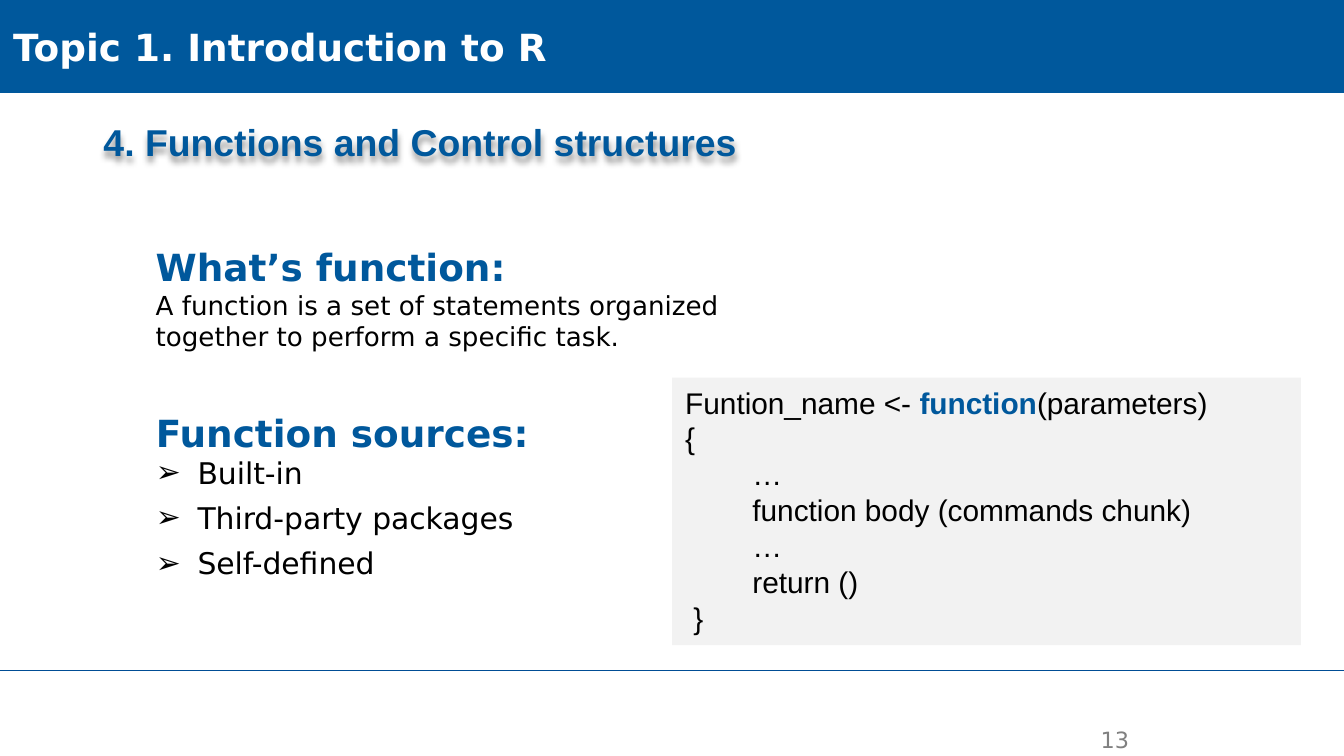
from pptx import Presentation
from pptx.dml.color import RGBColor
from pptx.enum.shapes import MSO_CONNECTOR as Connector, MSO_SHAPE as Shape
from pptx.enum.text import MSO_ANCHOR as Anchor, MSO_AUTO_SIZE as AutoSize, PP_ALIGN as Align
from pptx.oxml import parse_xml
from pptx.oxml.ns import nsdecls
from pptx.oxml.xmlchemy import OxmlElement
from pptx.util import Inches, Pt

BLUE = RGBColor(0x00, 0x58, 0x9C)
RULE_BLUE = RGBColor(0x00, 0x4D, 0x95)
WHITE = RGBColor(0xFF, 0xFF, 0xFF)
BLACK = RGBColor(0x00, 0x00, 0x00)
GREY = RGBColor(0x80, 0x80, 0x80)
PALE = RGBColor(0xF2, 0xF2, 0xF2)
SANS, CODE = "DejaVu Sans", "Arial"
COLUMNS = 100


class SlideBuilder:
    """Draws styled elements on one slide, placed on square cells, 100 to the slide's width."""

    def __init__(self, deck):
        self.cell = deck.slide_width / COLUMNS
        self.slide = deck.slides.add_slide(deck.slide_layouts[1])

    def grid(self, *cells):
        return [round(cell * self.cell) for cell in cells]

    def place(self, holder, area, wrap=True, grow=True):
        holder.left, holder.top, holder.width, holder.height = self.grid(*area)
        frame = holder.text_frame
        frame.vertical_anchor = Anchor.TOP
        frame.word_wrap = wrap
        frame.auto_size = AutoSize.SHAPE_TO_FIT_TEXT if grow else AutoSize.NONE
        return frame

    def title(self, area):
        holder = self.slide.shapes.title
        holder._element.spPr.append(parse_xml(
            f'<a:effectLst {nsdecls("a")}><a:outerShdw blurRad="38100" dist="38100" '
            'dir="5400000" algn="t" rotWithShape="0"><a:srgbClr val="000000">'
            '<a:alpha val="40000"/></a:srgbClr></a:outerShdw></a:effectLst>'))
        return self.place(holder, area, wrap=False)

    def body(self, area):
        return self.place(self.slide.placeholders[1], area, wrap=False)

    def text_box(self, area, grow=True):
        return self.place(self.slide.shapes.add_textbox(*self.grid(*area)), area, grow=grow)

    def panel(self, area, fill, outline=None):
        panel = self.slide.shapes.add_shape(Shape.RECTANGLE, *self.grid(*area))
        panel.shadow.inherit = False
        panel.fill.solid()
        panel.fill.fore_color.rgb = fill
        if outline:
            panel.line.color.rgb = outline
            panel.line.width = Pt(0.75)
        else:
            panel.line.fill.background()
        return self.place(panel, area, grow=False)

    def rule(self, row):
        rule = self.slide.shapes.add_connector(
            Connector.STRAIGHT, *self.grid(0, row, COLUMNS, row))
        rule.line.color.rgb = RULE_BLUE
        rule.line.width = Pt(0.5)
        rule._element.spPr.append(OxmlElement("a:effectLst"))

    def paragraph(self, frame, runs, size, color=BLACK, font=SANS, bold=False,
                  align=Align.LEFT, indent=0.0, bullet=None, after=0):
        first = frame.paragraphs[0]
        paragraph = first if not first.runs else frame.add_paragraph()
        paragraph.alignment = align
        paragraph.line_spacing = 1.0
        paragraph.space_before = Pt(0)
        paragraph.space_after = Pt(after)
        layout = paragraph._p.get_or_add_pPr()
        margin = Inches(indent)
        layout.set("marL", str(margin))
        layout.set("indent", str(-margin if bullet else 0))
        mark = OxmlElement("a:buChar" if bullet else "a:buNone")
        if bullet:
            mark.set("char", bullet)
        layout.append(mark)
        for text, run_color, run_bold in runs if isinstance(runs, list) else [(runs, color, bold)]:
            for number, line in enumerate(text.split("\n")):
                if number:
                    paragraph.add_line_break()
                run = paragraph.add_run()
                run.text = line
                run.font.name = font
                run.font.size = Pt(size)
                run.font.bold = run_bold
                run.font.color.rgb = run_color

    def heading(self, frame, text, color=BLUE, font=SANS):
        self.paragraph(frame, text, 20, color, font, bold=True)


def main():
    deck = Presentation()
    deck.slide_width = Inches(10)
    deck.slide_height = deck.slide_width * 9 // 16
    builder = SlideBuilder(deck)

    builder.rule(49.9)
    banner = builder.panel((0, 0, COLUMNS, 6.9), BLUE, BLUE)
    banner.vertical_anchor = Anchor.MIDDLE
    builder.heading(banner, "Topic 1. Introduction to R", WHITE)
    builder.heading(builder.title((6.7, 8.4, 49.5, 4.4)),
                    "4. Functions and Control structures", font=CODE)

    page_number = builder.text_box((75.8, 53.5, 9.2, 2.8), grow=False)
    builder.paragraph(page_number, "13", 12, GREY, align=Align.RIGHT)

    sources = builder.body((10.6, 30, 29.9, 13.9))
    builder.heading(sources, "Function sources:")
    for source in ("Built-in", "Third-party packages", "Self-defined"):
        builder.paragraph(sources, source, 16, indent=0.31, bullet="➢", after=5)

    definition = builder.text_box((10.6, 17.7, 50, 9.1))
    builder.heading(definition, "What’s function:")
    builder.paragraph(
        definition,
        "A function is a set of statements organized together to perform a specific task.", 14)

    syntax = builder.panel((50, 28.1, 46.8, 19.9), PALE)
    signature = [("Funtion_name <- ", BLACK, False), ("function", BLUE, True),
                 ("(parameters)\n{", BLACK, False)]
    for code, indent in ((signature, 0), ("…\nfunction body (commands chunk)", 0.5),
                         ("…\nreturn ()", 0.5), ("}", 0.06)):
        builder.paragraph(syntax, code, 16, font=CODE, indent=indent)

    deck.save("out.pptx")


if __name__ == "__main__":
    main()
